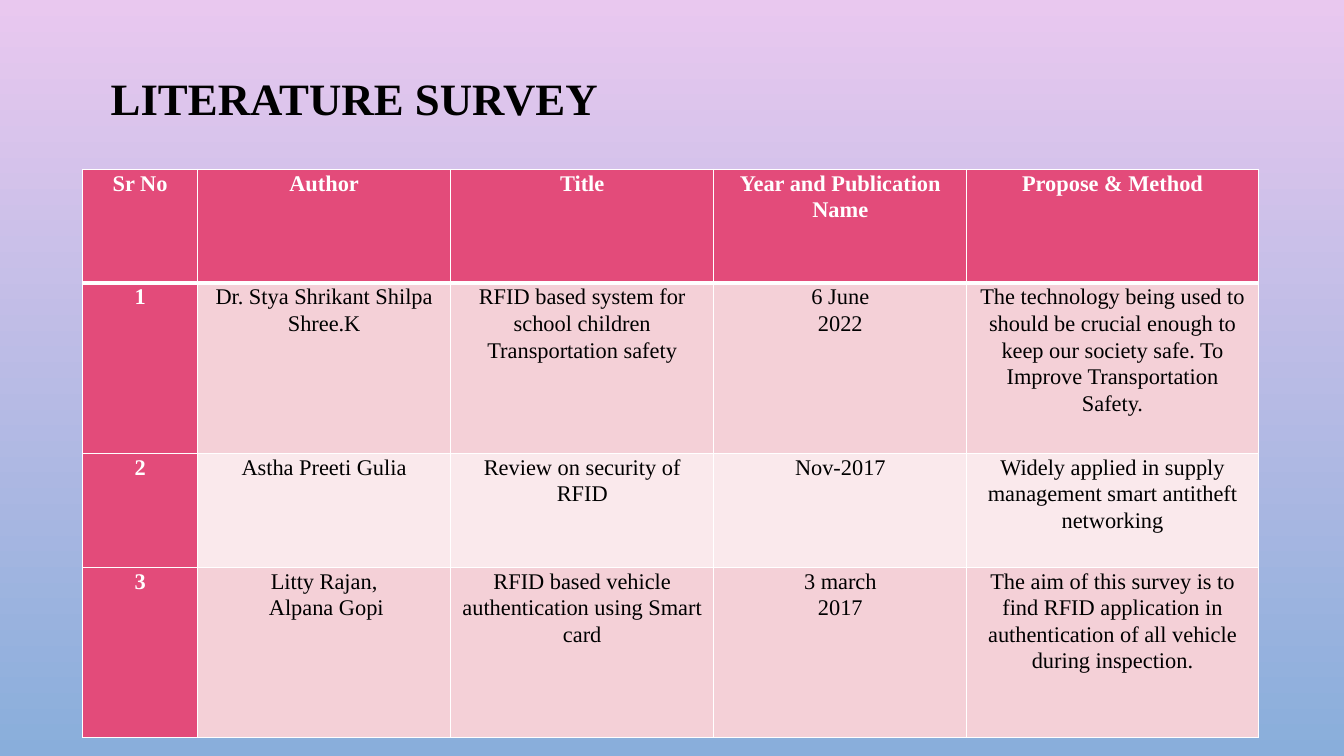
from pptx import Presentation
from pptx.dml.color import RGBColor
from pptx.enum.text import MSO_ANCHOR, PP_ALIGN
from pptx.oxml import parse_xml
from pptx.oxml.ns import nsdecls
from pptx.util import Inches, Pt

ORCHID = RGBColor(0xE9, 0xC8, 0xEF)
SKY = RGBColor(0x89, 0xAE, 0xDB)
ROSE = RGBColor(0xE3, 0x4B, 0x7A)
PINK = RGBColor(0xF4, 0xD0, 0xD7)
BLUSH = RGBColor(0xFA, 0xE9, 0xEC)
WHITE = RGBColor(0xFF, 0xFF, 0xFF)
BLACK = RGBColor(0, 0, 0)

COLUMN_WIDTHS = [1.14, 2.51, 2.61, 2.51, 2.89]
ROW_HEIGHTS = [1.13, 1.69, 1.13, 1.69]
SURVEY = [
    ["Sr No", "Author", "Title", "Year and Publication Name", "Propose & Method"],
    ["1", "Dr. Stya Shrikant Shilpa Shree.K",
     "RFID based system for school children Transportation safety",
     "6 June\n2022",
     "The technology being used to should be crucial enough to keep our society safe. "
     "To Improve Transportation Safety."],
    ["2", "Astha Preeti Gulia", "Review on security of RFID", "Nov-2017",
     "Widely applied in supply management smart antitheft networking"],
    ["3", "Litty Rajan,\n Alpana Gopi",
     "RFID based vehicle authentication using Smart card",
     "3 march\n2017",
     "The aim of this survey is to find RFID application in authentication of all "
     "vehicle during inspection."],
]


def write_text(frame, text, size=16, color=BLACK, bold=False,
               align=PP_ALIGN.CENTER, spacing=1.07):
    frame.word_wrap = True
    frame.text = text
    for para in frame.paragraphs:
        para.alignment = align
        para.line_spacing = spacing
        for span in para.runs:
            span.font.name = "Times New Roman"
            span.font.size = Pt(size)
            span.font.bold = bold
            span.font.color.rgb = color


def add_borders(cell, **widths):
    properties = cell._tc.get_or_add_tcPr()
    for side in "LRTB":
        width = Pt(widths.get(side, 1))
        properties.append(parse_xml(
            f'<a:ln{side} {nsdecls("a")} w="{width}"><a:solidFill>'
            f'<a:srgbClr val="{WHITE}"/></a:solidFill></a:ln{side}>'))


deck = Presentation()
deck.slide_width = Inches(13.33)
deck.slide_height = Inches(7.5)
page = deck.slides.add_slide(deck.slide_layouts[6])

backdrop = page.background.fill
backdrop.gradient()
backdrop.gradient_angle = 270
for stop, color in zip(backdrop.gradient_stops, (ORCHID, SKY)):
    stop.color.rgb = color

title_box = page.shapes.add_textbox(Inches(1), Inches(0.68), Inches(11.33), Inches(0.65))
title_box.text_frame.vertical_anchor = MSO_ANCHOR.MIDDLE
write_text(title_box.text_frame, "LITERATURE SURVEY", size=32, bold=True,
           align=PP_ALIGN.LEFT, spacing=0.9)

table = page.shapes.add_table(
    len(ROW_HEIGHTS), len(COLUMN_WIDTHS), Inches(0.82), Inches(1.68),
    Inches(sum(COLUMN_WIDTHS)), Inches(sum(ROW_HEIGHTS))).table
table.first_col = True
for column, width in zip(table.columns, COLUMN_WIDTHS):
    column.width = Inches(width)
for row, height in zip(table.rows, ROW_HEIGHTS):
    row.height = Inches(height)

for row_index, entries in enumerate(SURVEY):
    for column_index, text in enumerate(entries):
        cell = table.cell(row_index, column_index)
        cell.margin_left = cell.margin_right = Inches(0.07)
        cell.margin_top = cell.margin_bottom = 0
        heading = row_index == 0 or column_index == 0
        write_text(cell.text_frame, text, color=WHITE if heading else BLACK, bold=heading)
        add_borders(cell, T=3 if row_index == 1 else 1, B=3 if row_index == 0 else 1)
        cell.fill.solid()
        cell.fill.fore_color.rgb = ROSE if heading else PINK if row_index % 2 else BLUSH

deck.save("out.pptx")
